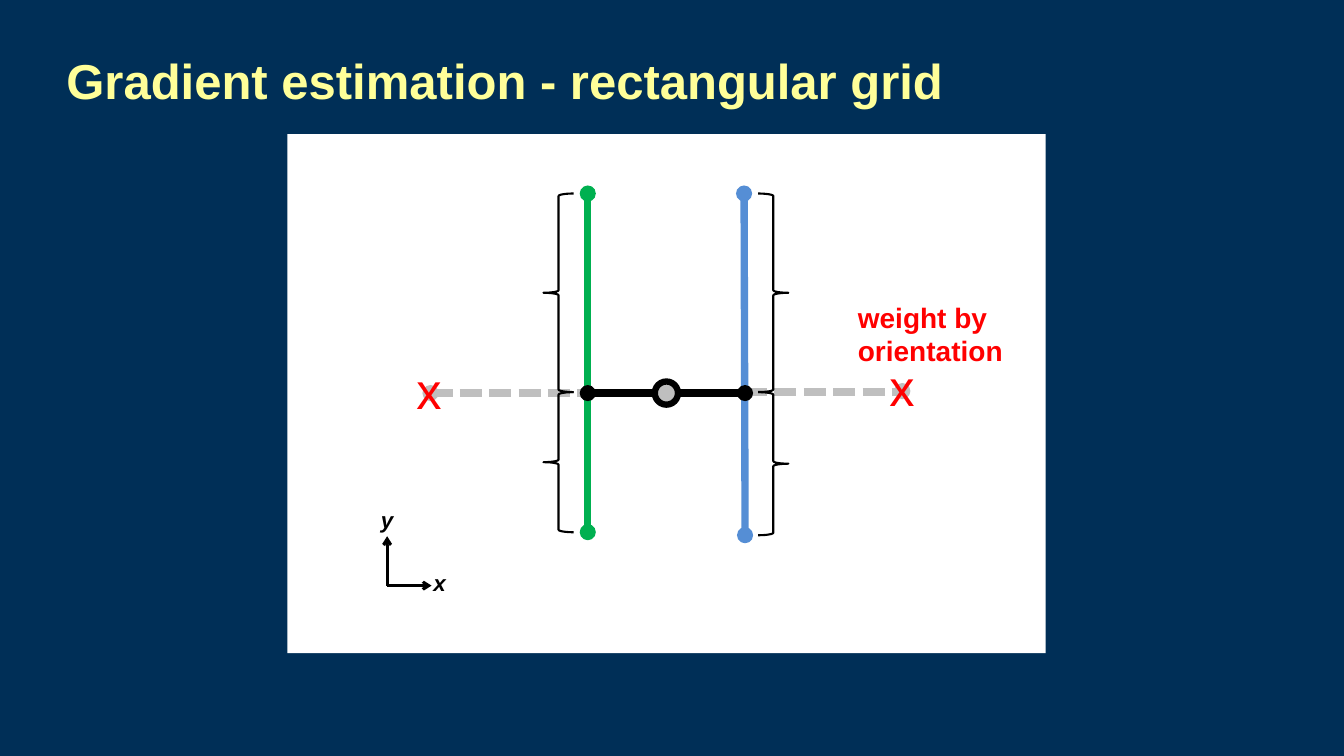
import pptx
import pptx.dml.color
import pptx.enum.dml
import pptx.enum.shapes
import pptx.enum.text
import pptx.oxml
import pptx.oxml.ns
import pptx.util

Inches = pptx.util.Inches
Pt = pptx.util.Pt
Shape = pptx.enum.shapes.MSO_SHAPE
Align = pptx.enum.text.PP_ALIGN
Anchor = pptx.enum.text.MSO_ANCHOR

NAVY, YELLOW, WHITE, BLACK = "002F57", "FFFF99", "FFFFFF", "000000"
GRAY, GREEN, BLUE, RED = "BFBFBF", "00B050", "558ED5", "FF0000"


def paint(fill, color):
    """Make a fill solid in the hex color, or empty when there is none."""
    if color is None:
        fill.background()
    else:
        fill.solid()
        fill.fore_color.rgb = pptx.dml.color.RGBColor.from_string(color)


def add_figure(kind, left, top, width, height, fill=None, line=None, weight=0):
    figure = slide.shapes.add_shape(
        kind, Inches(left), Inches(top), Inches(width), Inches(height))
    figure.shadow.inherit = False
    paint(figure.fill, fill)
    paint(figure.line.fill, line)
    if line:
        figure.line.width = Pt(weight)


deck = pptx.Presentation()
deck.slide_width, deck.slide_height = Inches(13.33), Inches(7.5)
slide = deck.slides.add_slide(deck.slide_layouts[6])
paint(slide.background.fill, NAVY)

# Grid of the diagram: four columns of nodes, and the rows they lie on
step = 1.56
far_left, left, right, far_right = [4.27 + step * column for column in range(4)]
top, middle, bottom_left, bottom_right = 1.92, 3.9, 5.28, 5.31
axis_x, axis_y = 3.84, 5.81

add_figure(Shape.RECTANGLE, 2.85, 1.33, 7.52, 5.15, WHITE)

# Grid lines and axes
for x1, y1, x2, y2, color, weight, style in [
    (right, 3.89, far_right, 3.89, GRAY, 5.25, "dash"),
    (far_left, middle, left, middle, GRAY, 5.25, "dash"),
    (left, bottom_left, left, top, GREEN, 5.25, None),
    (right, bottom_right, right - 0.01, top, BLUE, 5.25, None),
    (left, middle, right, middle, BLACK, 5.25, None),
    (axis_x, axis_y, axis_x, axis_y - 0.49, BLACK, 2, "arrow"),
    (axis_x, axis_y, axis_x + 0.44, axis_y, BLACK, 2, "arrow"),
]:
    link = slide.shapes.add_connector(
        pptx.enum.shapes.MSO_CONNECTOR.STRAIGHT,
        Inches(x1), Inches(y1), Inches(x2), Inches(y2))
    paint(link.line.fill, color)
    link.line.width = Pt(weight)
    if style == "dash":
        link.line.dash_style = pptx.enum.dml.MSO_LINE.SQUARE_DOT
    properties = link._element.spPr
    if style == "arrow":
        properties.find(pptx.oxml.ns.qn("a:ln")).append(pptx.oxml.parse_xml(
            f'<a:tailEnd {pptx.oxml.ns.nsdecls("a")} type="arrow"/>'))
    properties.append(pptx.oxml.parse_xml(
        f'<a:effectLst {pptx.oxml.ns.nsdecls("a")}/>'))

# Braces beside the upper and lower half of each vertical line
for kind, brace_left, bottom in [
    (Shape.LEFT_BRACE, 5.39, bottom_left),
    (Shape.RIGHT_BRACE, 7.52, bottom_right),
]:
    for start, end in [(top, 3.89), (3.89, bottom)]:
        add_figure(kind, brace_left, start, 0.3, end - start, None, BLACK, 1.5)

# Nodes, placed by their centres
for x, y, size, color, outline in [
    (left, middle, 0.16, BLACK, None),
    (right, middle, 0.16, BLACK, None),
    (far_left, middle, 0.16, GRAY, None),
    (far_right, 3.88, 0.16, GRAY, None),
    (right - 0.01, top, 0.16, BLUE, None),
    (right, bottom_right, 0.16, BLUE, None),
    (left, top, 0.16, GREEN, None),
    (left, bottom_left, 0.16, GREEN, None),
    ((left + right) / 2, middle, 0.23, GRAY, BLACK),
]:
    add_figure(Shape.OVAL, x - size / 2, y - size / 2, size, size,
               color, outline, 4.5)

# Title and labels
for text, place, size, color, bold, italic, align, anchor in [
    ("Gradient estimation - rectangular grid", (0.56, 0.17, 12.11, 1.25),
     35, YELLOW, True, False, Align.LEFT, Anchor.MIDDLE),
    ("x", (4.2, 5.6, 0.38, 0.37), 16, BLACK, True, True, Align.LEFT, Anchor.TOP),
    ("y", (3.68, 4.97, 0.38, 0.37), 16, BLACK, True, True, Align.LEFT, Anchor.TOP),
    ("x", (3.92, 3.51, 0.67, 0.71), 36, RED, False, False,
     Align.CENTER, Anchor.MIDDLE),
    ("x", (8.61, 3.48, 0.67, 0.71), 36, RED, False, False,
     Align.CENTER, Anchor.MIDDLE),
    ("weight by\norientation", (8.41, 2.93, 1.68, 0.77),
     20, RED, True, False, Align.LEFT, Anchor.TOP),
]:
    box = slide.shapes.add_textbox(*[Inches(length) for length in place])
    frame = box.text_frame
    frame.text = text
    frame.word_wrap = True
    frame.vertical_anchor = anchor
    for para in frame.paragraphs:
        para.alignment = align
        for span in para.runs:
            span.font.name = "Arial"
            span.font.size = Pt(size)
            span.font.bold, span.font.italic = bold, italic
            paint(span.font.fill, color)

deck.save("out.pptx")
